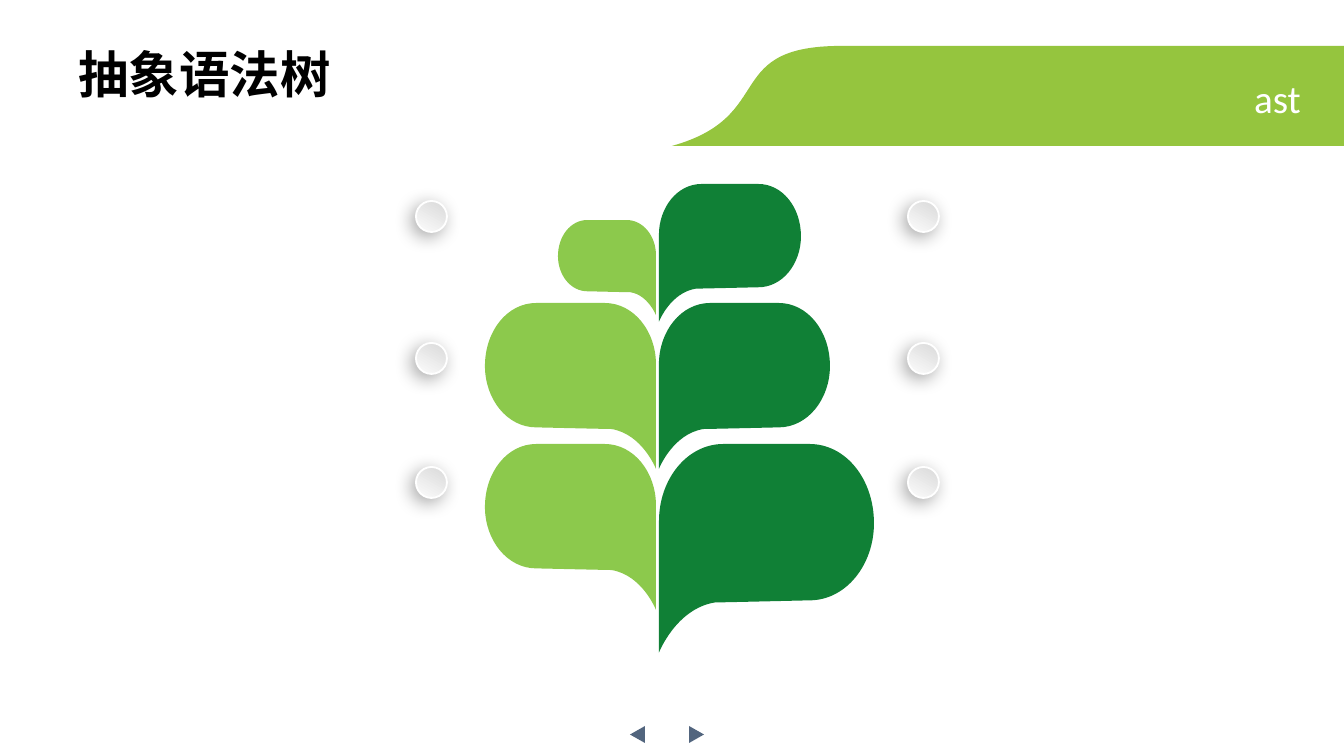
from lxml import etree
from pptx import Presentation
from pptx.dml.color import RGBColor
from pptx.enum.shapes import MSO_SHAPE
from pptx.enum.text import MSO_ANCHOR, MSO_AUTO_SIZE, PP_ALIGN
from pptx.oxml.ns import qn
from pptx.util import Emu, Pt

SLIDE_WIDTH, SLIDE_HEIGHT = 1344, 756
EMU_PER_PX = 9144000 / SLIDE_WIDTH
TITLE_ONLY = 5

OVAL, TRIANGLE = MSO_SHAPE.OVAL, MSO_SHAPE.ISOSCELES_TRIANGLE
LEFT, RIGHT = PP_ALIGN.LEFT, PP_ALIGN.RIGHT

BLACK = RGBColor(0x00, 0x00, 0x00)
WHITE = RGBColor(0xFF, 0xFF, 0xFF)
SILVER = RGBColor(0xD9, 0xD9, 0xD9)
PEARL = RGBColor(0xFC, 0xFC, 0xFC)
BAND_GREEN = RGBColor(0x95, 0xC5, 0x3E)
LIGHT_GREEN = RGBColor(0x8C, 0xC9, 0x4C)
DARK_GREEN = RGBColor(0x10, 0x80, 0x36)
SLATE = RGBColor(0x52, 0x65, 0x7E)

# Outlines as fractions of their box: a segment is either one point (a straight
# edge) or two control points and an end point (a cubic curve).
LEAF_START = (0.70, 0)
LEAF_PATH = [
    [(0.30, 0)],
    [(0.13, 0), (0, 0.17), (0, 0.37)],
    [(0, 1)],
    [(0, 1), (0.08, 0.79), (0.26, 0.76)],
    [(0.28, 0.76), (0.70, 0.75), (0.70, 0.75)],
    [(0.87, 0.75), (1, 0.58), (1, 0.38)],
    [(1, 0.17), (0.87, 0), (0.70, 0)],
]
BAND_START = (0.26, 0)
BAND_PATH = [
    [(1, 0)],
    [(1, 1)],
    [(0, 1)],
    [(0.16, 0.7), (0.07, -0.02), (0.26, 0)],
]


def px(length):
    return Emu(round(length * EMU_PER_PX))


def paint(shape, color):
    shape.shadow.inherit = False
    shape.fill.solid()
    shape.fill.fore_color.rgb = color
    shape.line.fill.background()


def add_outline(slide, box, start, path, color, mirrored=False):
    """Draw the straight outline through the end points, then bend its curved edges."""
    left, top, width, height = box

    def place(point):
        x = 1 - point[0] if mirrored else point[0]
        return px(left + x * width), px(top + point[1] * height)

    builder = slide.shapes.build_freeform(*place(start), scale=1.0)
    builder.add_line_segments([place(segment[-1]) for segment in path], close=False)
    shape = builder.convert_to_shape()
    paint(shape, color)

    edges = list(shape._element.iter(qn("a:lnTo")))
    for edge, segment in zip(edges, path):
        if len(segment) == 3:
            edge.tag = qn("a:cubicBezTo")
            for index, control in enumerate(segment[:2]):
                x, y = place(control)
                point = etree.Element(qn("a:pt"), x=str(x - shape.left), y=str(y - shape.top))
                edge.insert(index, point)


def format_text(shape, box, text, size, color, alignment, bold=False):
    shape.left, shape.top, shape.width, shape.height = map(px, box)
    frame = shape.text_frame
    frame.text = text
    frame.word_wrap = False
    frame.auto_size = MSO_AUTO_SIZE.SHAPE_TO_FIT_TEXT
    frame.vertical_anchor = MSO_ANCHOR.TOP
    paragraph = frame.paragraphs[0]
    paragraph.alignment = alignment
    font = paragraph.runs[0].font
    font.name, font.size, font.bold = "Calibri", Pt(size), bold
    font.color.rgb = color


def add_header(slide, box):
    left, top, width, height = box
    add_outline(slide, (left + 672, top + 10, width - 672, height - 10),
                BAND_START, BAND_PATH, BAND_GREEN)
    format_text(slide.shapes.title, (left + 65, top, 282, 75),
                "抽象语法树", 27, BLACK, LEFT, bold=True)
    label = slide.shapes.add_textbox(0, 0, 0, 0)
    format_text(label, (left + width - 104, top + 32, 74, 60), "ast", 21, WHITE, RIGHT)


def add_tree(slide, box):
    """Draw three pairs of leaves on either side of the stem gap."""
    left, top, width, height = box
    stem_left, stem_right = left + 171, left + 174
    for left_top, left_width, right_top, right_width in (
            (36, 98, 0, 142), (119, 171, 119, 171), (260, 171, 260, 215)):
        add_outline(slide, (stem_left - left_width, top + left_top, left_width, left_width * 0.97),
                    LEAF_START, LEAF_PATH, LIGHT_GREEN, mirrored=True)
        add_outline(slide, (stem_right, top + right_top, right_width, right_width * 0.97),
                    LEAF_START, LEAF_PATH, DARK_GREEN)


def add_soft_shadow(shape):
    shape.shadow.inherit = False
    effects = shape._element.spPr.find(qn("a:effectLst"))
    shadow = etree.SubElement(effects, qn("a:outerShdw"), blurRad=str(Pt(10)),
                              dist=str(Pt(3)), dir=str(136 * 60000),
                              algn="ctr", rotWithShape="0")
    color = etree.SubElement(shadow, qn("a:srgbClr"), val=str(BLACK))
    etree.SubElement(color, qn("a:alpha"), val="34000")


def add_bullet_column(slide, box):
    left, top, size, height = box
    for offset in (0, 142, height - size):
        ball = slide.shapes.add_shape(OVAL, px(left), px(top + offset), px(size), px(size))
        ball.fill.gradient()
        ball.fill.gradient_angle = 240
        for stop, color in zip(ball.fill.gradient_stops, (SILVER, PEARL)):
            stop.color.rgb = color
        ball.line.color.rgb = WHITE
        ball.line.width = Pt(1)
        add_soft_shadow(ball)


def add_page_arrows(slide, box):
    left, top, width, height = box
    for x, rotation in ((left, 270), (left + width - 17, 90)):
        arrow = slide.shapes.add_shape(TRIANGLE, px(x), px(top), px(17), px(height))
        arrow.rotation = rotation
        paint(arrow, SLATE)


def main():
    presentation = Presentation()
    presentation.slide_width = px(SLIDE_WIDTH)
    presentation.slide_height = px(SLIDE_HEIGHT)
    slide = presentation.slides.add_slide(presentation.slide_layouts[TITLE_ONLY])
    add_page_arrows(slide, (629, 727, 76, 15))
    add_tree(slide, (485, 184, 389, 469))
    for left in (416, 908):
        add_bullet_column(slide, (left, 201, 31, 297))
    add_header(slide, (0, 36, SLIDE_WIDTH, 110))
    presentation.save("out.pptx")


if __name__ == "__main__":
    main()
